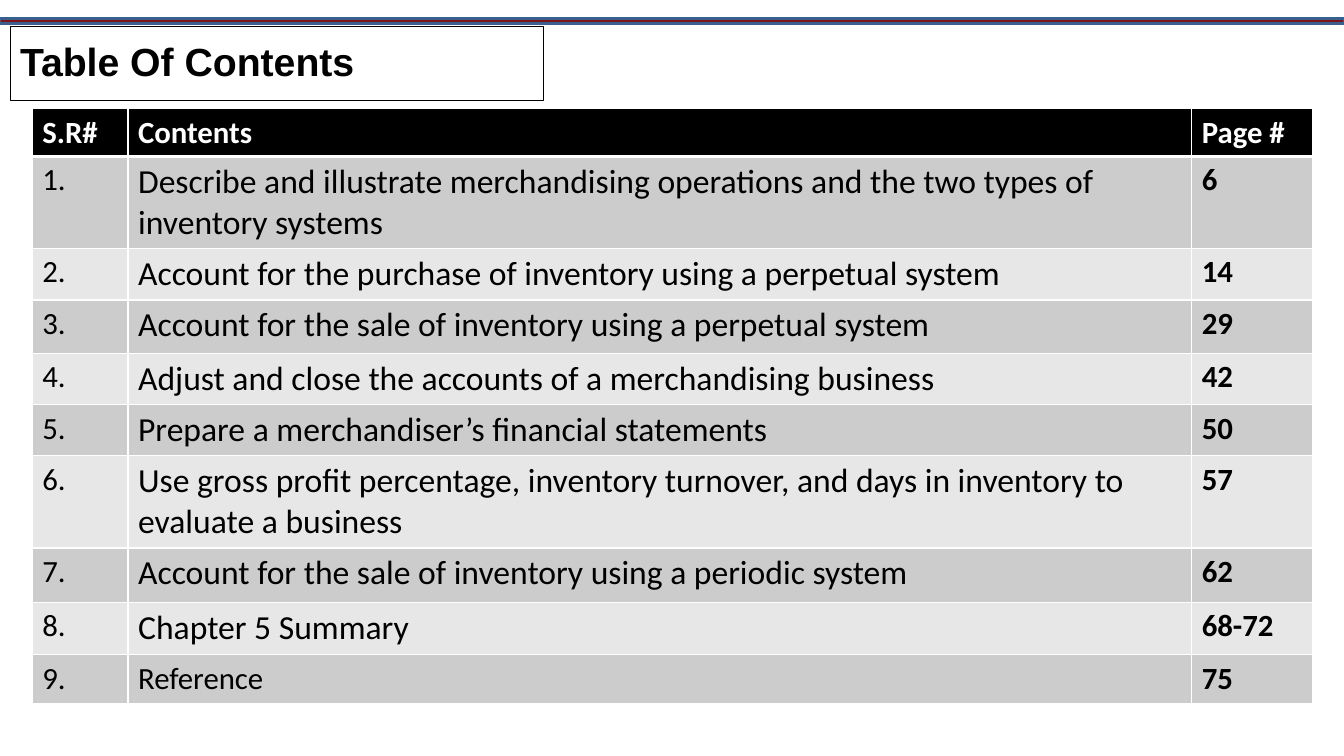
from lxml import etree
from pptx import Presentation
from pptx.dml.color import RGBColor
from pptx.enum import shapes, text
from pptx.oxml import ns
from pptx.util import Inches, Pt

BLACK = RGBColor(0x00, 0x00, 0x00)
WHITE = RGBColor(0xFF, 0xFF, 0xFF)
RED = RGBColor(0x7F, 0x14, 0x17)
BLUE = RGBColor(0x3A, 0x5F, 0x8C)
DARK = RGBColor(0xCC, 0xCC, 0xCC)
LIGHT = RGBColor(0xE7, 0xE7, 0xE7)

HEAD = ("S.R#", "Contents", "Page #")
# Topic, page, text size
TOPICS = [
    ("Describe and illustrate merchandising operations and the two types of "
     "inventory systems", "6", 24),
    ("Account for the purchase of inventory using a perpetual system", "14", 24),
    ("Account for the sale of inventory using a perpetual system", "29", 24),
    ("Adjust and close the accounts of a merchandising business", "42", 24),
    ("Prepare a merchandiser’s financial statements", "50", 24),
    ("Use gross profit percentage, inventory turnover, and days in inventory "
     "to evaluate a business", "57", 24),
    ("Account for the sale of inventory using a periodic system", "62", 24),
    ("Chapter 5 Summary", "68-72", 24),
    ("Reference", "75", 22),
]
WIDTHS = (0.95, 10.55, 1.2)
HEIGHTS = (0.47, 0.91, 0.51, 0.53, 0.51, 0.5, 0.91, 0.54, 0.52, 0.48)


def style(para, size, font, color, bold):
    for run in para.runs:
        run.font.size = Pt(size)
        run.font.name = font
        run.font.color.rgb = color
        run.font.bold = bold


def add_box(slide, box):
    shape = slide.shapes.add_shape(
        shapes.MSO_SHAPE.RECTANGLE, *[Inches(v) for v in box])
    shape.shadow.inherit = False
    return shape


def add_band(slide, box):
    band = add_box(slide, box)
    band.fill.solid()
    band.fill.fore_color.rgb = RED
    band.line.color.rgb = BLUE
    band.line.width = Pt(2)


def add_title(slide, box):
    title = add_box(slide, box)
    title.fill.background()
    title.line.color.rgb = BLACK
    title.line.width = Pt(0.75)
    frame = title.text_frame
    frame.text = "Table Of Contents"
    frame.word_wrap = True
    frame.vertical_anchor = text.MSO_ANCHOR.MIDDLE
    para = frame.paragraphs[0]
    para.alignment = text.PP_ALIGN.LEFT
    para.line_spacing = 0.9
    para.space_before = Pt(10)
    style(para, 28, "Arial", BLACK, True)


def add_edges(cell, top, base):
    props = cell._tc.get_or_add_tcPr()
    for side, width in (("L", 1), ("R", 1), ("T", top), ("B", base)):
        edge = etree.SubElement(props, ns.qn("a:ln" + side), w=str(Pt(width)))
        fill = etree.SubElement(edge, ns.qn("a:solidFill"))
        etree.SubElement(fill, ns.qn("a:srgbClr"), val=str(WHITE))


def fill_cell(cell, words, size, color, bold, back, top, base):
    cell.text_frame.text = words
    style(cell.text_frame.paragraphs[0], size, "Calibri", color, bold)
    add_edges(cell, top, base)
    cell.fill.solid()
    cell.fill.fore_color.rgb = back


def add_contents(slide, box):
    table = slide.shapes.add_table(
        len(HEIGHTS), len(WIDTHS), *[Inches(v) for v in box]).table
    for col, width in zip(table.columns, WIDTHS):
        col.width = Inches(width)
    for row, height in zip(table.rows, HEIGHTS):
        row.height = Inches(height)

    # Header row
    for col, words in enumerate(HEAD):
        fill_cell(table.cell(0, col), words, 22, WHITE, True, BLACK, 1, 3)

    # Numbered topics on alternating greys
    for row, (topic, page, size) in enumerate(TOPICS, 1):
        back = DARK if row % 2 else LIGHT
        top = 3 if row == 1 else 1
        parts = ((f"{row}.", 22, False), (topic, size, False), (page, 22, True))
        for col, (words, points, bold) in enumerate(parts):
            fill_cell(table.cell(row, col), words, points, BLACK, bold,
                      back, top, 1)


def main():
    deck = Presentation()
    deck.slide_width = Inches(13.33)
    deck.slide_height = Inches(7.5)
    slide = deck.slides.add_slide(deck.slide_layouts[6])
    add_band(slide, (0, 0.18, 13.33, 0.05))
    add_title(slide, (0.1, 0.26, 5.29, 0.74))
    add_contents(slide, (0.32, 1.08, sum(WIDTHS), sum(HEIGHTS)))
    deck.save("out.pptx")


if __name__ == "__main__":
    main()
